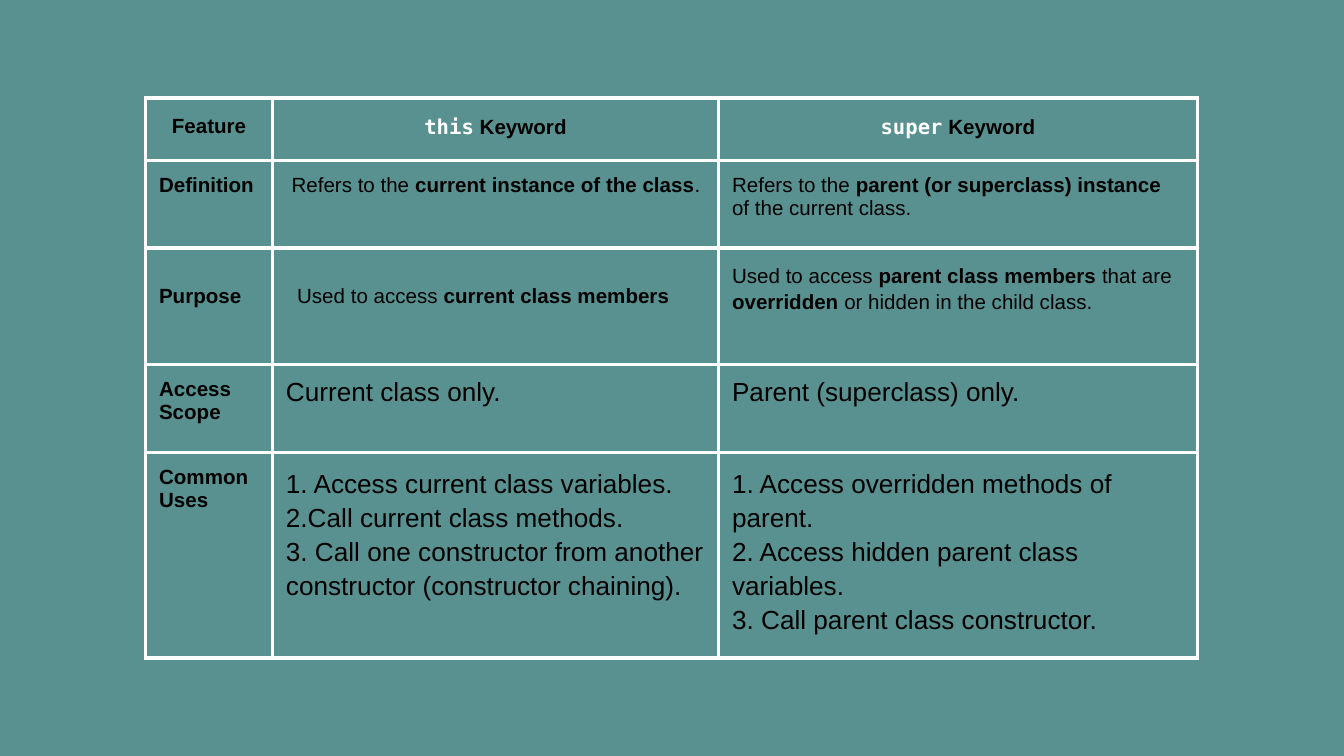
from lxml.etree import SubElement
from pptx import Presentation
from pptx.dml.color import RGBColor
from pptx.enum.text import PP_ALIGN as Align
from pptx.oxml.ns import qn
from pptx.util import Pt

# Content: ** surrounds bold text, and a header is (code word, label)
HEADERS = [("", "Feature"), ("this", " Keyword"), ("super", " Keyword")]
ROWS = [
    ("Definition",
     ["Refers to the **current instance of the class**."],
     ["Refers to the **parent (or superclass) instance** of the current class."]),
    ("Purpose",
     ["Used to access **current class members**"],
     ["Used to access **parent class members **that are **overridden** or hidden in the child class."]),
    ("Access Scope",
     ["Current class only."],
     ["Parent (superclass) only."]),
    ("Common Uses",
     ["1. Access current class variables.",
      "2.Call current class methods.",
      "3. Call one constructor from another constructor (constructor chaining)."],
     ["1. Access overridden methods of parent.",
      "2. Access hidden parent class variables.",
      "3. Call parent class constructor."]),
]

# Layout, in points
LEFT, TOP = 78, 52.5
COLUMN_WIDTHS = [68, 239, 256.5]
ROW_HEIGHTS = [33.5, 46.8, 62.6, 47, 110]
MARGIN = 7.2
SMALL, LARGE = 11, 14
LARGE_ROWS = {3, 4}
LOOSE_CELLS = {(2, 2), (4, 1), (4, 2)}
EXTRA_TOP = {(2, 0): 12.6, (2, 1): 12.6}
EXTRA_LEFT = {(1, 1): 3, (2, 1): 6}

TEAL, WHITE, BLACK = "599191", "FFFFFF", "000000"
FONT, CODE_FONT = "Arial", "DejaVu Sans Mono"


def color(hex_text):
    return RGBColor.from_string(hex_text)


def set_font(font, size, name=FONT, hex_text=BLACK):
    font.size = Pt(size)
    font.name = name
    font.color.rgb = color(hex_text)


def add_run(paragraph, text, bold):
    run = paragraph.add_run()
    run.text = text
    run.font.bold = bold
    return run


def set_borders(cell):
    properties = cell._tc.get_or_add_tcPr()
    for side in ("lnL", "lnR", "lnT", "lnB"):
        line = SubElement(properties, qn(f"a:{side}"), w=str(Pt(2.25)))
        fill = SubElement(line, qn("a:solidFill"))
        SubElement(fill, qn("a:srgbClr"), val=WHITE)


def format_cell(cell, position):
    set_borders(cell)
    cell.fill.background()
    cell.margin_left = Pt(MARGIN + EXTRA_LEFT.get(position, 0))
    cell.margin_top = Pt(MARGIN + EXTRA_TOP.get(position, 0))
    cell.margin_right = cell.margin_bottom = Pt(MARGIN)


def fill_header(cell, code, label):
    paragraph = cell.text_frame.paragraphs[0]
    paragraph.alignment = Align.CENTER
    paragraph.line_spacing = 1.15
    set_font(paragraph.font, SMALL)
    if code:
        set_font(add_run(paragraph, code, True).font, SMALL, CODE_FONT, WHITE)
    add_run(paragraph, label, True)


def fill_body(cell, lines, size, spacing):
    frame = cell.text_frame
    for index, line in enumerate(lines):
        paragraph = frame.add_paragraph() if index else frame.paragraphs[0]
        paragraph.line_spacing = spacing
        set_font(paragraph.font, size)
        for part, text in enumerate(line.split("**")):
            if text:
                add_run(paragraph, text, part % 2 == 1)


# Slide
presentation = Presentation()
presentation.slide_width, presentation.slide_height = Pt(720), Pt(405)
slide = presentation.slides.add_slide(presentation.slide_layouts[6])
slide.background.fill.solid()
slide.background.fill.fore_color.rgb = color(TEAL)

# Table
table = slide.shapes.add_table(
    len(ROW_HEIGHTS), len(COLUMN_WIDTHS), Pt(LEFT), Pt(TOP),
    Pt(sum(COLUMN_WIDTHS)), Pt(sum(ROW_HEIGHTS))).table
table.first_row = table.horz_banding = False
for column, width in zip(table.columns, COLUMN_WIDTHS):
    column.width = Pt(width)
for row, height in zip(table.rows, ROW_HEIGHTS):
    row.height = Pt(height)

# Header row
for column, (code, label) in enumerate(HEADERS):
    cell = table.cell(0, column)
    format_cell(cell, (0, column))
    fill_header(cell, code, label)

# Body rows
for row, (feature, *uses) in enumerate(ROWS, start=1):
    for column, lines in enumerate([[f"**{feature}**"], *uses]):
        cell = table.cell(row, column)
        format_cell(cell, (row, column))
        size = LARGE if column and row in LARGE_ROWS else SMALL
        spacing = 1.15 if (row, column) in LOOSE_CELLS else 1.0
        fill_body(cell, lines, size, spacing)

presentation.save("out.pptx")
